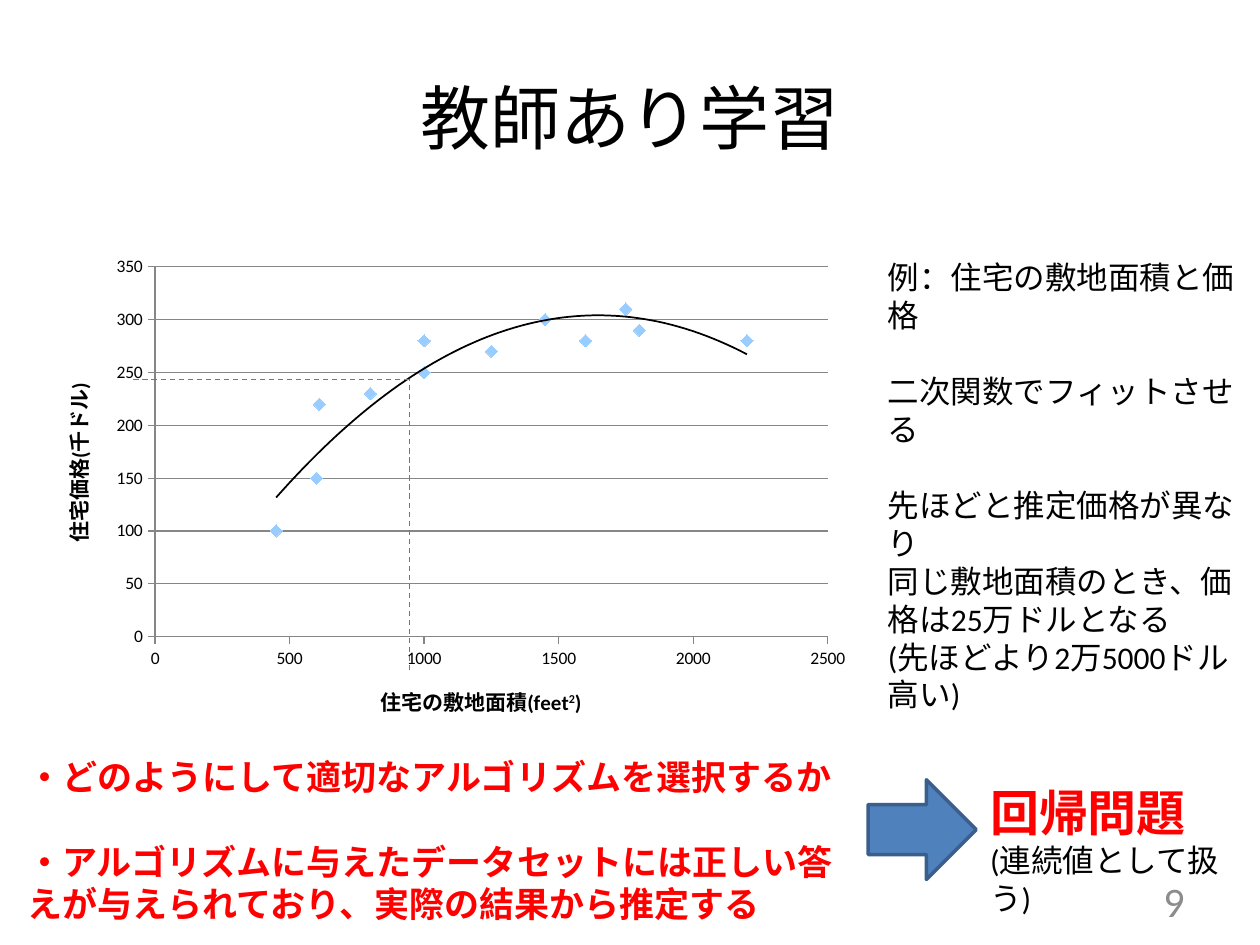
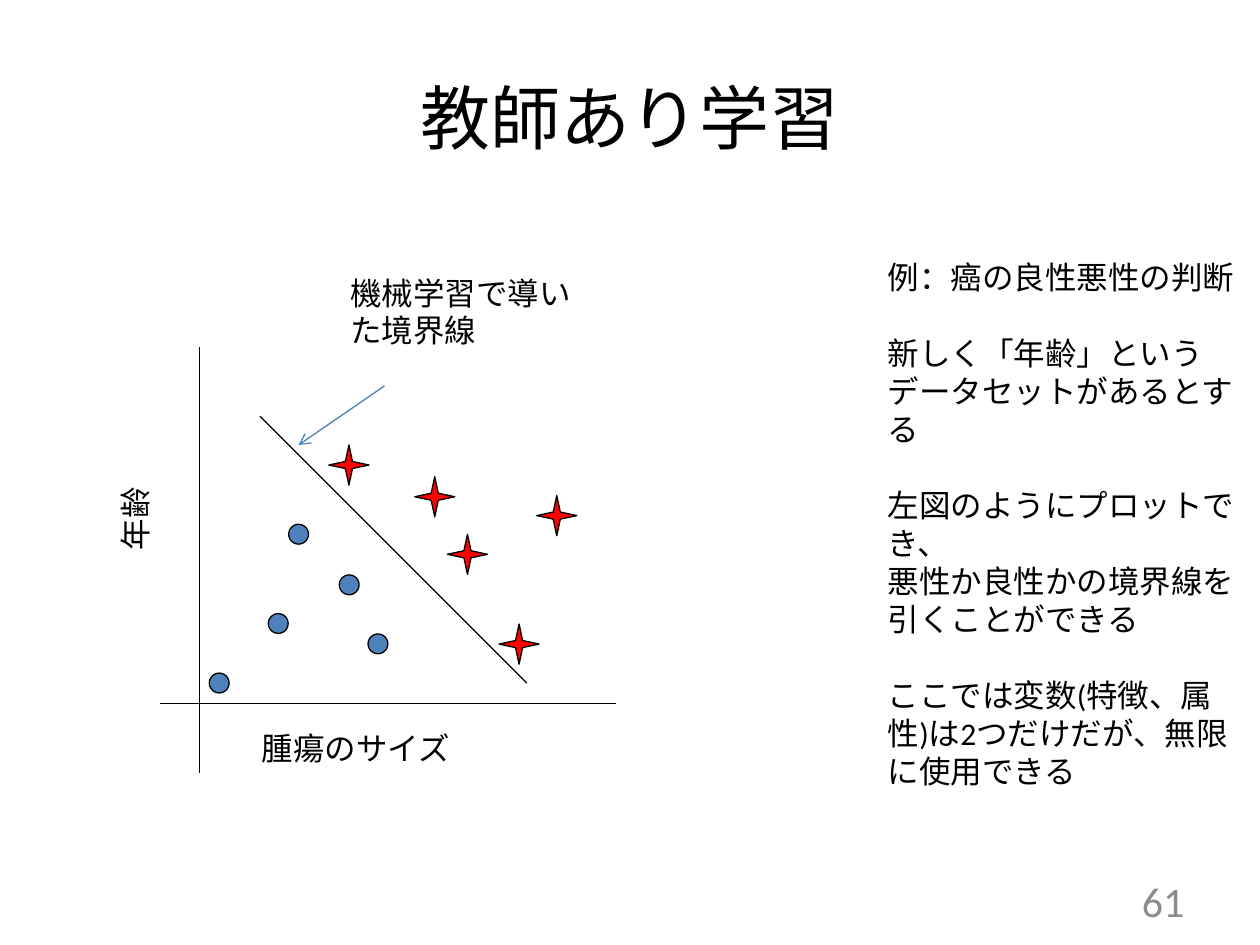
import pptx
import pptx.util
import pptx.chart.data
import pptx.dml.color
import pptx.enum.chart
import pptx.enum.dml
import pptx.enum.shapes
import pptx.enum.text
import pptx.oxml
import pptx.oxml.ns

Cm, Pt = pptx.util.Cm, pptx.util.Pt
SHAPE = pptx.enum.shapes.MSO_SHAPE
ALIGN = pptx.enum.text.PP_ALIGN
ANCHOR = pptx.enum.text.MSO_ANCHOR
qn = pptx.oxml.ns.qn
NS = pptx.oxml.ns.nsdecls("a", "c")

BLACK, RED, BLUE, GREY = "000000", "FF0000", "4F81BD", "8C8C8C"
LINE_BLUE, DARK_BLUE, AXIS, MARKER = "4B7EBC", "3A5F8C", "868686", "99CCFF"
BODY = {"size": Pt(18), "name": "Calibri", "bold": False, "color": BLACK}
LABEL = {**BODY, "name": "Arial"}
POINTS = {**BODY, "size": Pt(20), "bold": True, "color": RED}
TITLE = {**BODY, "size": Pt(40)}
NUMBER = {**BODY, "size": Pt(24), "color": GREY}
TICKS = {**BODY, "size": Pt(10)}
AXIS_TITLE = {**BODY, "size": Pt(12), "bold": True}
LINE_PITCH = 1.22  # line height as a multiple of the font size


def rgb(value):
    return pptx.dml.color.RGBColor.from_string(value)


def style_font(font, style):
    for key, value in style.items():
        if key == "color":
            font.color.rgb = rgb(value)
        else:
            setattr(font, key, value)


def style_line(line, color, width=0.75):
    line.color.rgb = rgb(color)
    line.width = Pt(width)


# Shared parts
def add_text(s, box, lines, style, wrap=True):
    """lines: text, or (text, dict of changes: style, gap in lines)."""
    sp = s.shapes.add_textbox(*map(Cm, box))
    tf = sp.text_frame
    tf.word_wrap = wrap
    tf.auto_size = pptx.enum.text.MSO_AUTO_SIZE.SHAPE_TO_FIT_TEXT
    for i, line in enumerate(lines):
        text, change = (line, {}) if isinstance(line, str) else line
        p = tf.paragraphs[0] if i == 0 else tf.add_paragraph()
        r = p.add_run()
        r.text = text
        look = change.get("style", style)
        style_font(r.font, look)
        if "gap" in change:
            p.space_before = Pt(round(look["size"].pt * LINE_PITCH * change["gap"], 1))
    return sp


def add_line(s, start, end, color, dash=False, arrow=False):
    cxn = s.shapes.add_connector(pptx.enum.shapes.MSO_CONNECTOR.STRAIGHT,
                                 *map(Cm, (*start, *end)))
    style_line(cxn.line, color)
    if dash:
        cxn.line.dash_style = pptx.enum.dml.MSO_LINE.DASH
    if arrow:
        cxn.line._get_or_add_ln().append(
            pptx.oxml.parse_xml(f'<a:tailEnd {NS} type="arrow"/>'))
    cxn._element.spPr.append(pptx.oxml.parse_xml(f"<a:effectLst {NS}/>"))


def add_mark(s, kind, box, fill, line, width=0.75):
    sp = s.shapes.add_shape(kind, *map(Cm, box))
    sp.shadow.inherit = False
    sp.fill.solid()
    sp.fill.fore_color.rgb = rgb(fill)
    style_line(sp.line, line, width)
    return sp


def add_slide(prs, title, number):
    s = prs.slides.add_slide(prs.slide_layouts[5])
    sp = s.shapes.title
    sp.left, sp.top, sp.width, sp.height = map(Cm, (1.27, 0.76, 22.86, 3.18))
    tf = sp.text_frame
    tf.text = title
    tf.vertical_anchor = ANCHOR.MIDDLE
    p = tf.paragraphs[0]
    p.alignment = ALIGN.CENTER
    style_font(p.runs[0].font, TITLE)
    # Page number
    tf = add_text(s, (18.21, 17.65, 5.92, 1.02), [str(number)], NUMBER).text_frame
    tf.auto_size = pptx.enum.text.MSO_AUTO_SIZE.NONE
    tf.vertical_anchor = ANCHOR.MIDDLE
    tf.paragraphs[0].alignment = ALIGN.RIGHT
    return s


# Price chart with a quadratic fit
def format_axis(axis, title, maximum, step):
    axis.minimum_scale, axis.maximum_scale, axis.major_unit = 0, maximum, step
    axis.major_tick_mark = pptx.enum.chart.XL_TICK_MARK.OUTSIDE
    axis.minor_tick_mark = pptx.enum.chart.XL_TICK_MARK.NONE
    axis.tick_labels.font.size = TICKS["size"]
    style_line(axis.format.line, AXIS)
    p = axis.axis_title.text_frame.paragraphs[0]
    for text, raised in title:
        r = p.add_run()
        r.text = text
        style_font(r.font, AXIS_TITLE)
        if raised:
            r._r.get_or_add_rPr().set("baseline", "30000")


def set_plot_area(chart, x, y, w, h):
    area = chart._chartSpace.find(".//" + qn("c:plotArea"))
    for old in area.findall(qn("c:layout")):
        area.remove(old)
    sizes = "".join(f'<c:{k} val="{v}"/>' for k, v in zip("xywh", (x, y, w, h)))
    area.insert(0, pptx.oxml.parse_xml(
        f'<c:layout {NS}><c:manualLayout><c:layoutTarget val="inner"/>'
        f'<c:xMode val="edge"/><c:yMode val="edge"/>{sizes}'
        '</c:manualLayout></c:layout>'))


def add_quadratic_trend(series):
    series._element.find(qn("c:xVal")).addprevious(pptx.oxml.parse_xml(
        f'<c:trendline {NS}><c:spPr><a:ln w="12700"><a:solidFill>'
        f'<a:srgbClr val="{BLACK}"/></a:solidFill></a:ln></c:spPr>'
        '<c:trendlineType val="poly"/><c:order val="2"/>'
        '<c:dispRSqr val="0"/><c:dispEq val="0"/></c:trendline>'))


def add_price_chart(s, box):
    areas = [450, 600, 610, 800, 1000, 1250, 1450, 1600, 1750, 1800, 2200]
    prices = [100, 150, 220, 230, 280, 270, 300, 280, 310, 290, 280]
    data = pptx.chart.data.XyChartData()
    for name, points in (("Series 1", zip(areas, prices)),
                         ("Series 2", [(1000, 250)])):
        series = data.add_series(name)
        for x, y in points:
            series.add_data_point(x, y)
    chart = s.shapes.add_chart(pptx.enum.chart.XL_CHART_TYPE.XY_SCATTER,
                               *map(Cm, box), data).chart
    chart.has_legend = chart.has_title = False
    style_font(chart.font, TICKS)
    plot = chart.plots[0]
    plot.vary_by_categories = False
    for series in plot.series:
        series.smooth = False
        series.format.line.fill.background()
        marker = series.marker
        marker.style = pptx.enum.chart.XL_MARKER_STYLE.DIAMOND
        marker.size = 7
        marker.format.fill.solid()
        marker.format.fill.fore_color.rgb = rgb(MARKER)
        marker.format.line.fill.background()
    add_quadratic_trend(plot.series[0])
    format_axis(chart.category_axis,
                [("住宅の敷地面積(feet", False), ("2", True), (")", False)], 2500, 500)
    format_axis(chart.value_axis, [("住宅価格(千ドル)", False)], 350, 50)
    chart.category_axis.has_major_gridlines = False
    chart.value_axis.has_major_gridlines = True
    style_line(chart.value_axis.major_gridlines.format.line, AXIS)
    set_plot_area(chart, 0.145, 0.038, 0.814, 0.745)
    # Reading guides from both axes to the curve
    left, top = box[:2]
    corner = (left + 7.55, top + 2.65)
    add_line(s, (corner[0], top + 8.51), corner, LINE_BLUE, dash=True)
    add_line(s, (left + 1.98, corner[1]), corner, LINE_BLUE, dash=True)


def add_conclusion(s, box):
    left, top, width, height = box
    add_mark(s, SHAPE.RIGHT_ARROW, (left, top + 0.07, 2.18, 2.01), BLUE, DARK_BLUE, 2)
    add_text(s, (left + 2.21, top, width - 2.21, height),
             [("回帰問題", {"style": {**POINTS, "size": Pt(28)}}),
              "(連続値として扱う)"], BODY)


# Tumour plot with a boundary line
def add_tumour_plot(s, box):
    left, top, width, height = box

    def at(x, y):
        return left + x, top + y

    add_line(s, at(0, 7.19), at(width, 7.19), BLACK)
    add_line(s, at(0.79, 0), at(0.79, height), BLACK)
    benign = [(2.59, 3.58), (3.61, 4.6), (4.19, 5.79), (2.18, 5.38), (0.99, 6.58)]
    malignant = [(5.13, 2.62), (6.83, 5.59), (7.59, 3), (5.79, 3.78), (3.4, 1.98)]
    for kind, size, fill, points in ((SHAPE.OVAL, 0.4, BLUE, benign),
                                     (SHAPE.STAR_4_POINT, 0.81, RED, malignant)):
        for x, y in points:
            sp = add_mark(s, kind, (*at(x, y), size, size), fill, BLACK)
            if kind == SHAPE.STAR_4_POINT:
                sp.adjustments[0] = 0.125
    add_line(s, at(2.01, 1.4), at(7.39, 6.78), BLACK)
    # Axis labels and the note on the boundary
    add_text(s, (*at(1.8, 7.59), 5.59, 1.02), ["腫瘍のサイズ"], LABEL)
    add_text(s, (*at(-1.4, 2.95), 1.78, 1.02), ["年齢"], LABEL, wrap=False).rotation = 270
    add_text(s, (*at(3.58, -1.6), 5, 1.8), ["機械学習で導いた境界線"], BODY)
    add_line(s, at(4.52, 0.79), at(2.79, 1.98), LINE_BLUE, arrow=True)


def build_regression(prs):
    s = add_slide(prs, "教師あり学習", 9)
    add_price_chart(s, (0.71, 5, 16.66, 10.01))
    add_text(s, (17.65, 5.08, 7.7, 7.19),
             ["例：住宅の敷地面積と価格",
              ("二次関数でフィットさせる", {"gap": 1}),
              ("先ほどと推定価格が異なり", {"gap": 1}),
              "同じ敷地面積のとき、価格は25万ドルとなる",
              "(先ほどより2万5000ドル高い)"], BODY)
    add_text(s, (0.3, 15.11, 17.2, 3.68),
             ["・どのようにして適切なアルゴリズムを選択するか",
              ("・アルゴリズムに与えたデータセットには正しい答えが与えられており、"
               "実際の結果から推定する", {"gap": 1})], POINTS)
    add_conclusion(s, (17.5, 15.65, 7.8, 2.24))


def build_classification(prs):
    s = add_slide(prs, "教師あり学習", 61)
    add_text(s, (17.65, 5.08, 7.75, 10.64),
             ["例：癌の良性悪性の判断",
              ("新しく「年齢」というデータセットがあるとする", {"gap": 1}),
              ("左図のようにプロットでき、", {"gap": 1}),
              "悪性か良性かの境界線を引くことができる",
              ("ここでは変数(特徴、属性)は2つだけだが、無限に使用できる", {"gap": 1})],
             BODY)
    add_tumour_plot(s, (3.23, 6.99, 9.19, 8.59))


prs = pptx.Presentation()
prs.slide_width, prs.slide_height = Cm(25.4), Cm(19.05)
build_regression(prs)
build_classification(prs)
prs.save("out.pptx")
